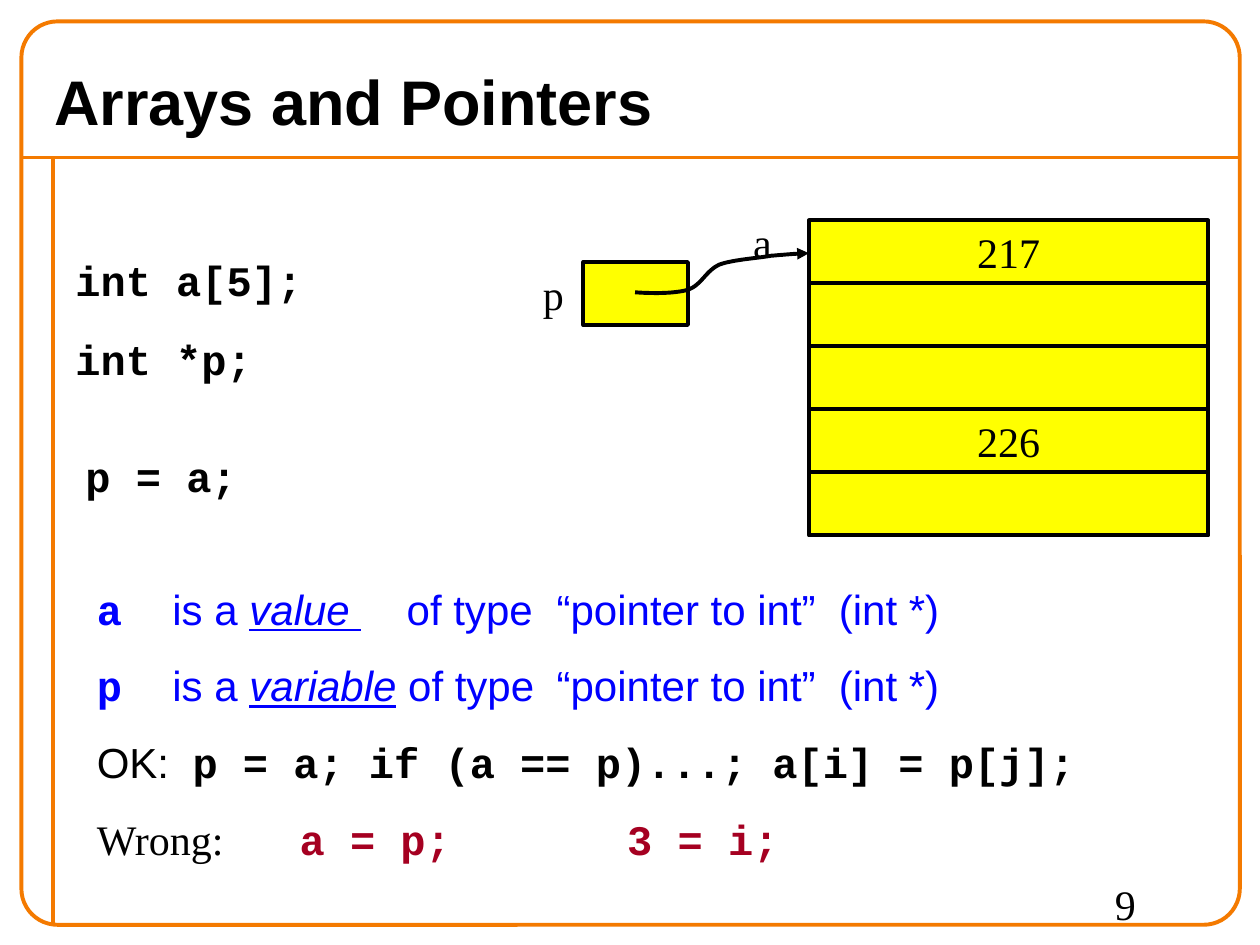
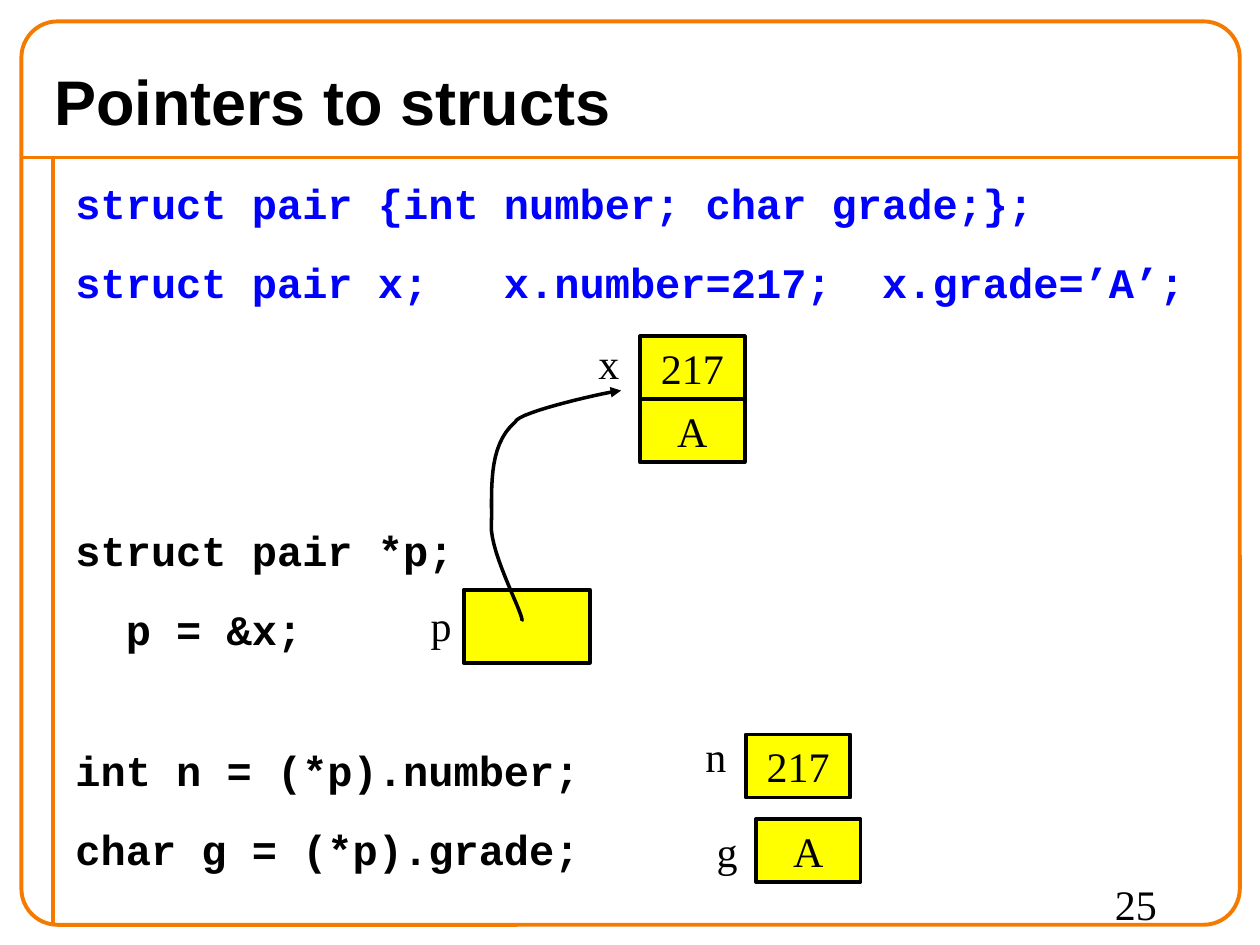
from lxml import etree
from pptx import Presentation
from pptx.dml.color import RGBColor
from pptx.enum.shapes import MSO_CONNECTOR, MSO_SHAPE
from pptx.enum.text import MSO_ANCHOR, PP_ALIGN
from pptx.oxml.ns import qn
from pptx.util import Inches, Pt

ORANGE = RGBColor(0xF4, 0x7A, 0x00)
BLACK = RGBColor(0x00, 0x00, 0x00)
BLUE = RGBColor(0x00, 0x00, 0xFF)
YELLOW = RGBColor(0xFF, 0xFF, 0x00)
RED = RGBColor(0xA5, 0x00, 0x21)

RECTANGLE = MSO_SHAPE.RECTANGLE
ROUNDED = MSO_SHAPE.ROUNDED_RECTANGLE
STRAIGHT = MSO_CONNECTOR.STRAIGHT
MIDDLE = MSO_ANCHOR.MIDDLE
TOP = MSO_ANCHOR.TOP
LEFT = PP_ALIGN.LEFT
CENTER = PP_ALIGN.CENTER

TITLE = dict(name="Arial", size=Pt(36), bold=True, color=BLACK)
ROMAN = dict(name="Times New Roman", size=Pt(24), color=BLACK)
SANS = dict(ROMAN, name="Arial")
CODE = dict(ROMAN, name="Courier New", bold=True)
BLUE_SANS = dict(SANS, color=BLUE)
BLUE_CODE = dict(CODE, color=BLUE)
RED_CODE = dict(CODE, color=RED)
UNDERLINED = dict(BLUE_SANS, underline=True)
STRESSED = dict(UNDERLINED, italic=True)

LINE_WIDTH = Pt(2.25)
CODE_GAP = Pt(16.5)
PROSE_GAP = Pt(15)
CELL_WIDTH, CELL_HEIGHT = 0.83, 0.5
CURVE_STEPS = 16


def inches(*lengths):
    return [Inches(length) for length in lengths]


def format_font(font, style):
    for attribute, value in style.items():
        if attribute == "color":
            font.color.rgb = value
        else:
            setattr(font, attribute, value)


def write_runs(paragraph, runs):
    for text, style in runs:
        run = paragraph.add_run()
        run.text = text
        format_font(run.font, style)


def set_tabs(paragraph, positions):
    tab_list = etree.SubElement(paragraph._p.get_or_add_pPr(), qn("a:tabLst"))
    for position in positions:
        etree.SubElement(tab_list, qn("a:tab"), pos=str(Inches(position)), algn="l")


def add_text(slide, box, lines, gap=PROSE_GAP, wrap=True):
    frame = slide.shapes.add_textbox(*inches(*box)).text_frame
    frame.word_wrap = wrap
    for index, (runs, tabs) in enumerate(lines):
        paragraph = frame.add_paragraph() if index else frame.paragraphs[0]
        if tabs:
            set_tabs(paragraph, tabs)
        if index:
            paragraph.space_before = gap
        write_runs(paragraph, runs)


def add_code(slide, box, lines, style=CODE):
    add_text(slide, box, [([(line, style)], ()) for line in lines], CODE_GAP)


def add_label(slide, left, top, name):
    add_text(slide, (left, top, 0.36, 0.5), [([(name, ROMAN)], ())], wrap=False)


def add_cell(slide, left, top, text="", width=CELL_WIDTH, height=CELL_HEIGHT):
    cell = slide.shapes.add_shape(RECTANGLE, *inches(left, top, width, height))
    cell.shadow.inherit = False
    cell.fill.solid()
    cell.fill.fore_color.rgb = YELLOW
    cell.line.color.rgb = BLACK
    cell.line.width = LINE_WIDTH
    if text:
        frame = cell.text_frame
        frame.word_wrap = False
        frame.vertical_anchor = MIDDLE
        frame.paragraphs[0].alignment = CENTER
        write_runs(frame.paragraphs[0], [(text, ROMAN)])


def add_cell_stack(slide, left, top, values, width=CELL_WIDTH):
    for row, value in enumerate(values):
        add_cell(slide, left, top + row * CELL_HEIGHT, value, width)


def bezier_points(start, first, second, end):
    for step in range(1, CURVE_STEPS + 1):
        t = step / CURVE_STEPS
        u = 1 - t
        yield [
            Inches(u**3 * a + 3 * u * u * t * b + 3 * u * t * t * c + t**3 * d)
            for a, b, c, d in zip(start, first, second, end)
        ]


def add_curved_arrow(slide, left, top, points, width=LINE_WIDTH):
    placed = [(left + x, top + y) for x, y in points]
    builder = slide.shapes.build_freeform(*inches(*placed[0]))
    for index in range(0, len(placed) - 1, 3):
        builder.add_line_segments(bezier_points(*placed[index:index + 4]), close=False)
    arrow = builder.convert_to_shape()
    arrow.shadow.inherit = False
    arrow.fill.background()
    arrow.line.color.rgb = BLACK
    arrow.line.width = width
    etree.SubElement(arrow.line._get_or_add_ln(), qn("a:tailEnd"), type="triangle")


def add_frame(slide):
    for ends in ((0.17, 1.25, 9.83, 1.25), (0.42, 1.25, 0.42, 7.33)):
        rule = slide.shapes.add_connector(STRAIGHT, *inches(*ends))
        rule.line.color.rgb = ORANGE
        rule.line.width = LINE_WIDTH
        etree.SubElement(rule._element.spPr, qn("a:effectLst"))
    border = slide.shapes.add_shape(ROUNDED, *inches(0.17, 0.17, 9.67, 7.17))
    border.adjustments[0] = 0.04
    border.shadow.inherit = False
    border.fill.background()
    border.line.color.rgb = ORANGE
    border.line.width = LINE_WIDTH


def add_titled_slide(presentation, title_text, number):
    slide = presentation.slides.add_slide(presentation.slide_layouts[5])
    add_frame(slide)
    title = slide.shapes.title
    title.left, title.top, title.width, title.height = inches(0.33, 0.42, 9.33, 0.75)
    title.text_frame.vertical_anchor = MIDDLE
    paragraph = title.text_frame.paragraphs[0]
    paragraph.alignment = LEFT
    write_runs(paragraph, [(title_text, TITLE)])
    add_text(slide, (8.75, 6.92, 1, 0.5), [([(number, ROMAN)], ())])
    return slide


def add_array_diagram(slide, left, top):
    add_label(slide, left + 1.67, top, "a")
    add_label(slide, left, top + 0.41, "p")
    add_cell(slide, left + 0.42, top + 0.41)
    add_curved_arrow(slide, left + 0.83, top + 0.34, [
        (0, 0.31), (0.15, 0.32), (0.31, 0.32), (0.42, 0.29),
        (0.53, 0.25), (0.56, 0.14), (0.67, 0.09),
        (0.78, 0.05), (0.97, 0.04), (1.08, 0.02),
        (1.2, 0.01), (1.32, 0), (1.38, 0),
    ])
    add_cell_stack(slide, left + 2.21, top + 0.08, ["217", "", "", "226", ""], 3.17)


def add_type_rules(slide, left, top):
    type_tabs = (0.6, 2.46, 3.65, 5.89)
    type_text = "of type\t“pointer to int”\t(int *)"
    add_text(slide, (left, top, 9, 2.33), [
        ([("a\t", BLUE_CODE), ("is a ", BLUE_SANS), ("value", STRESSED),
          (" ", UNDERLINED), ("\t" + type_text, BLUE_SANS)], type_tabs),
        ([("p\t", BLUE_CODE), ("is a ", BLUE_SANS), ("variable", STRESSED),
          (" " + type_text, BLUE_SANS)], (type_tabs[0], *type_tabs[2:])),
        ([("OK:\t", SANS), ("p = a; if (a == p)...; a[i] = p[j];", CODE)], (0.76,)),
        ([("Wrong:\t", ROMAN), ("a = p;\t3 = i;", RED_CODE)], (1.61, 4.21)),
    ])


def add_struct_diagram(slide, left, top):
    add_code(slide, (left, top + 0.03, 9.25, 1.08), ["struct pair *p;", "  p = &x;"])
    add_cell(slide, left + 3.18, top + 0.6, width=1, height=0.58)
    add_label(slide, left + 2.82, top + 0.63, "p")
    add_label(slide, left + 4.15, top - 1.45, "x")
    add_cell_stack(slide, left + 4.58, top - 1.41, ["217", "A"])
    add_curved_arrow(slide, left + 3.36, top - 0.98, [
        (0.28, 1.83), (0.32, 1.82), (0.03, 1.3), (0.04, 1.07),
        (0.05, 0.83), (0, 0.44), (0.23, 0.25),
        (0.24, 0.17), (1.01, 0), (1.07, 0),
    ], Pt(2))


def add_member_reads(slide, left, top):
    add_code(slide, (left, top + 0.03, 9.25, 1.25),
             ["int n = (*p).number;", "char g = (*p).grade;"])
    add_label(slide, left + 5, top - 0.08, "n")
    add_cell(slide, left + 5.42, top, "217")
    add_label(slide, left + 5.09, top + 0.67, "g")
    add_cell(slide, left + 5.5, top + 0.67, "A")


def build_arrays_slide(presentation):
    slide = add_titled_slide(presentation, "Arrays and Pointers", "9")
    add_code(slide, (0.5, 1.97, 3.5, 1.2), ["int a[5];", "int *p;"])
    add_code(slide, (0.58, 3.53, 1.67, 0.58), ["p = a;"])
    add_array_diagram(slide, 4.21, 1.67)
    add_type_rules(slide, 0.67, 4.58)


def build_structs_slide(presentation):
    slide = add_titled_slide(presentation, "Pointers to structs", "25")
    add_code(slide, (0.5, 1.36, 9.25, 1.2), [
        "struct pair {int number; char grade;};",
        "struct pair x;   x.number=217;  x.grade=’A’;",
    ], BLUE_CODE)
    add_struct_diagram(slide, 0.5, 4.08)
    add_member_reads(slide, 0.5, 5.83)


def main():
    presentation = Presentation()
    presentation.slide_width, presentation.slide_height = inches(10, 7.5)
    build_arrays_slide(presentation)
    build_structs_slide(presentation)
    presentation.save("out.pptx")


if __name__ == "__main__":
    main()
